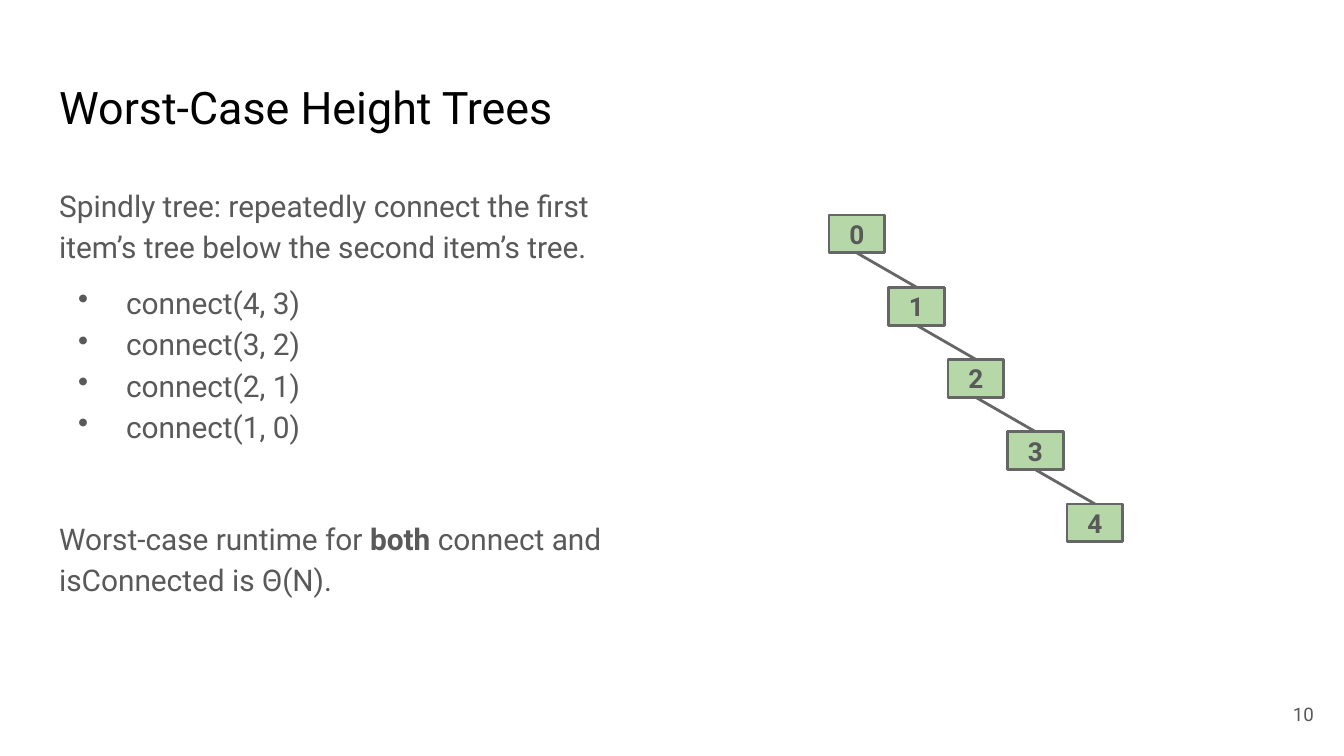
"""Build the slide on worst-case height trees."""
from lxml import etree
from pptx import Presentation
from pptx.dml.color import RGBColor
from pptx.enum.shapes import MSO_CONNECTOR, MSO_SHAPE
from pptx.enum.text import MSO_ANCHOR, PP_ALIGN
from pptx.oxml.ns import qn
from pptx.util import Emu, Pt

RECTANGLE, STRAIGHT = MSO_SHAPE.RECTANGLE, MSO_CONNECTOR.STRAIGHT
TOP, MIDDLE = MSO_ANCHOR.TOP, MSO_ANCHOR.MIDDLE
LEFT, CENTER, RIGHT = PP_ALIGN.LEFT, PP_ALIGN.CENTER, PP_ALIGN.RIGHT

FONT = "Roboto"
COLORS = {"title": "000000", "text": "595959", "node": "B6D7A8", "line": "666666"}
TITLE = "Worst-Case Height Trees"
INTRO = "Spindly tree: repeatedly connect the first item’s tree below the second item’s tree."
CALLS = ["connect(4, 3)", "connect(3, 2)", "connect(2, 1)", "connect(1, 0)"]
RUNTIME = [("Worst-case runtime for ", False), ("both", True),
           (" connect and isConnected is Θ(N).", False)]
PAGE_NUMBER = "10"
NODES = ["0", "1", "2", "3", "4"]

FIRST_NODE, LAST_NODE = (829, 215), (1067, 504)
NODE_WIDTH, NODE_HEIGHT = 56, 38
BULLET_INDENT, BULLET_HANG = 67, 48
LINE_WIDTH = Pt(1.5)


def px(value):
    return Emu(round(value * 914400 / 134.4))


def color(name):
    return RGBColor.from_string(COLORS[name])


def add_bullet(para):
    properties = para._p.get_or_add_pPr()
    properties.set("marL", str(px(BULLET_INDENT)))
    properties.set("indent", str(-px(BULLET_HANG)))
    tint = etree.SubElement(properties, qn("a:buClr"))
    etree.SubElement(tint, qn("a:srgbClr"), val=COLORS["text"])
    etree.SubElement(properties, qn("a:buChar"), char="•")


def write(para, text, size=16, ink="text", bold=False, align=LEFT,
          spacing=None, before=0, after=0, bullet=False):
    if bullet:
        add_bullet(para)
    para.alignment = align
    para.line_spacing = spacing
    para.space_before, para.space_after = Pt(before), Pt(after)
    spans = [(text, bold)] if isinstance(text, str) else text
    for words, strong in spans:
        span = para.add_run()
        span.text = words
        span.font.name, span.font.size, span.font.bold = FONT, Pt(size), strong
        span.font.color.rgb = color(ink)


def prepare(box, anchor):
    frame = box.text_frame
    frame.word_wrap = True
    frame.vertical_anchor = anchor
    frame.margin_left = frame.margin_right = frame.margin_top = frame.margin_bottom = Pt(7.2)
    return frame


def add_text(page, left, top, width, height, anchor=TOP):
    return prepare(page.shapes.add_textbox(px(left), px(top), px(width), px(height)), anchor)


def add_node(page, label, left, top):
    node = page.shapes.add_shape(RECTANGLE, px(left), px(top), px(NODE_WIDTH), px(NODE_HEIGHT))
    node.shadow.inherit = False
    node.fill.solid()
    node.fill.fore_color.rgb = color("node")
    node.line.color.rgb = color("line")
    node.line.width = LINE_WIDTH
    write(prepare(node, MIDDLE).paragraphs[0], label, size=14, bold=True, align=CENTER)


def add_edge(page, parent, child):
    middle = NODE_WIDTH / 2
    edge = page.shapes.add_connector(
        STRAIGHT, px(parent[0] + middle), px(parent[1] + NODE_HEIGHT),
        px(child[0] + middle), px(child[1]))
    edge.line.color.rgb = color("line")
    edge.line.width = LINE_WIDTH
    etree.SubElement(edge._element.spPr, qn("a:effectLst"))


def main():
    deck = Presentation()
    deck.slide_width, deck.slide_height = px(1344), px(756)
    page = deck.slides.add_slide(deck.slide_layouts[6])

    write(add_text(page, 46, 66, 581, 85).paragraphs[0], TITLE, size=24, ink="title")

    body = add_text(page, 46, 169, 581, 503)
    write(body.paragraphs[0], INTRO, spacing=1.15)
    for index, call in enumerate(CALLS):
        write(body.add_paragraph(), call, spacing=1.15, before=0 if index else 8, bullet=True)
    write(body.add_paragraph(), RUNTIME, spacing=1.15, before=38, after=8)

    number = add_text(page, 1246, 685, 81, 58, anchor=MIDDLE)
    write(number.paragraphs[0], PAGE_NUMBER, size=10, align=RIGHT)

    steps = len(NODES) - 1
    places = [tuple(start + (end - start) * index / steps
                    for start, end in zip(FIRST_NODE, LAST_NODE))
              for index in range(len(NODES))]
    for label, place in zip(NODES, places):
        add_node(page, label, *place)
    for parent, child in zip(places, places[1:]):
        add_edge(page, parent, child)

    deck.save("out.pptx")


if __name__ == "__main__":
    main()
